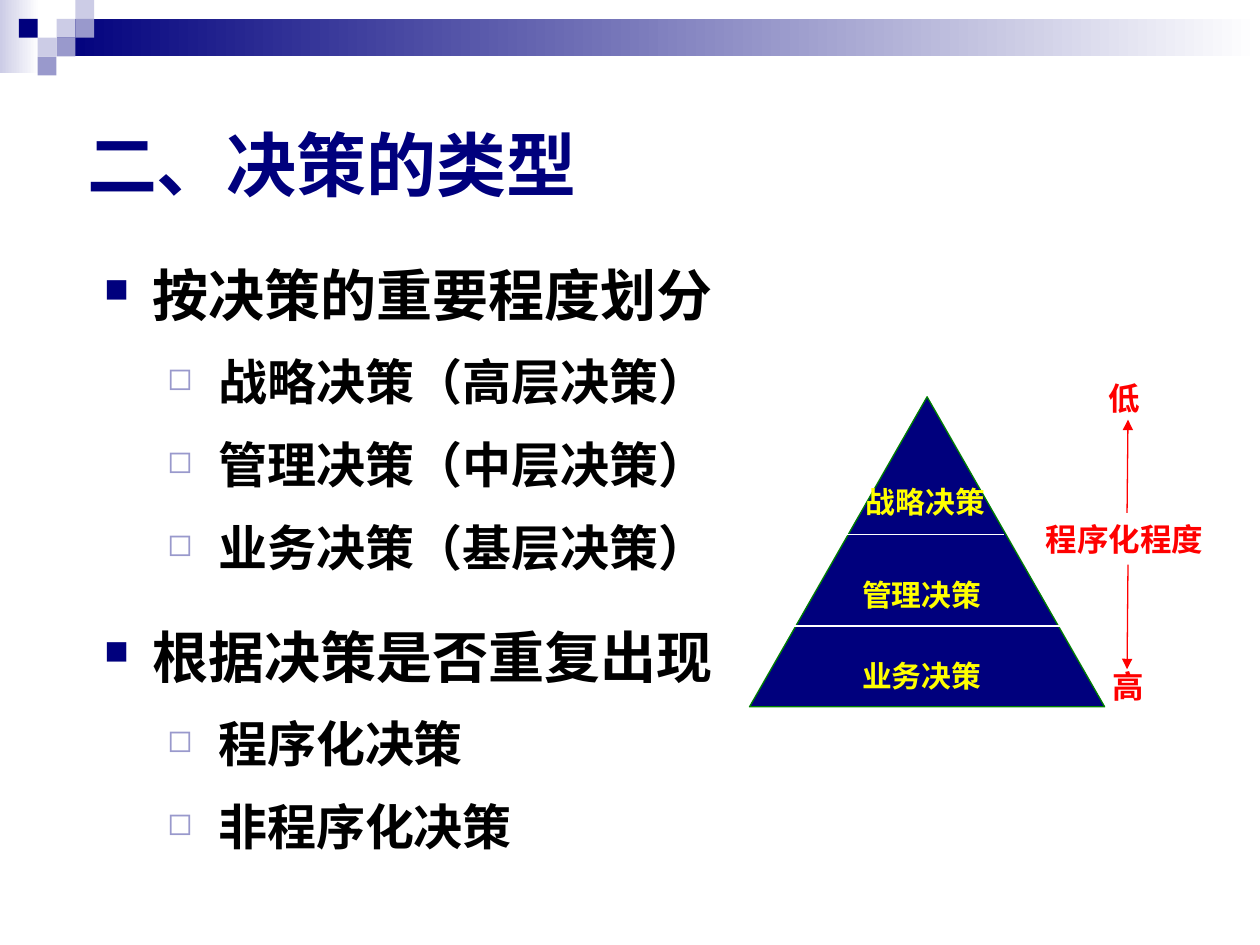
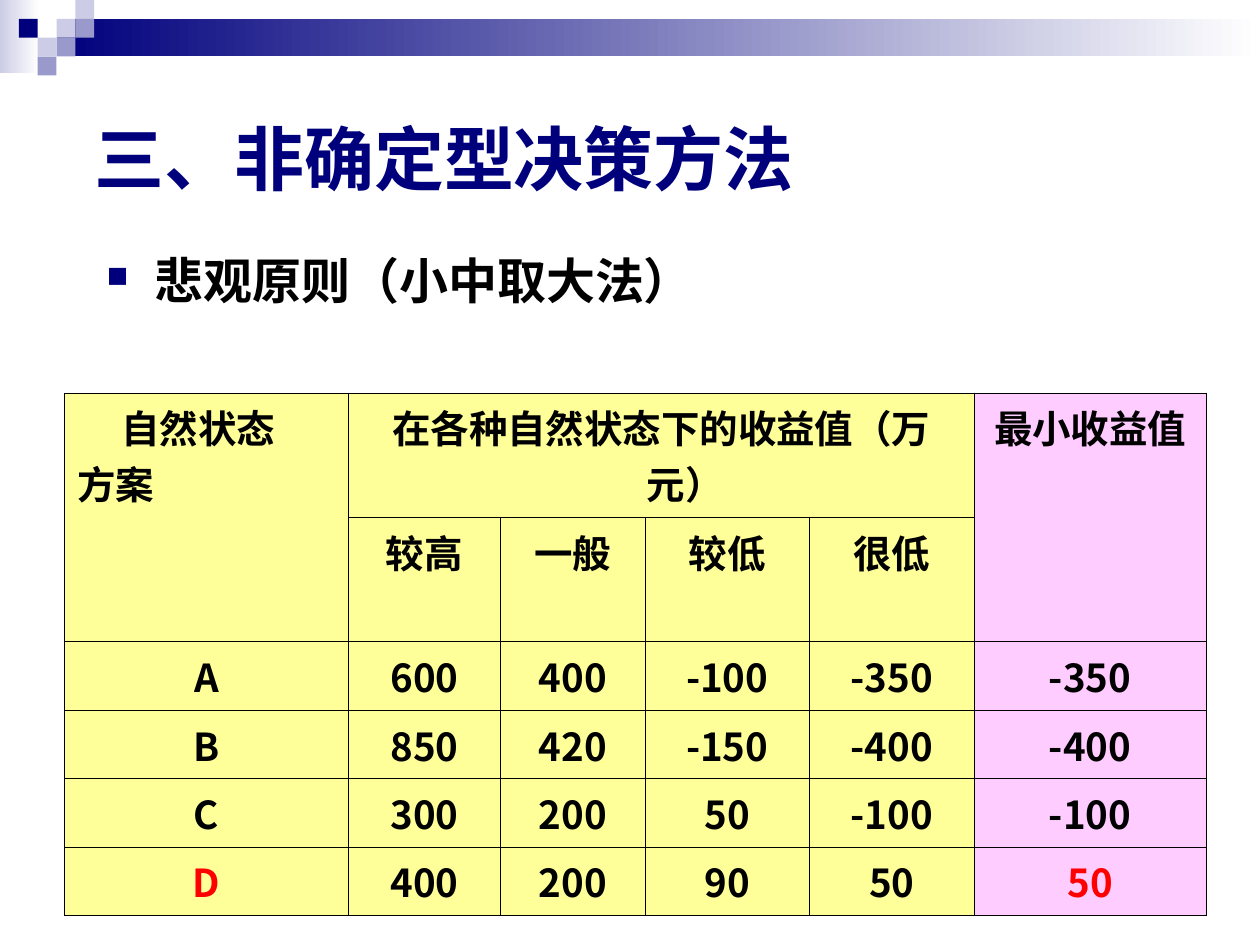
from dataclasses import dataclass
from typing import Any, NamedTuple

import lxml.etree
import pptx
import pptx.dml.color
import pptx.enum.dml
import pptx.enum.shapes
import pptx.enum.text
import pptx.oxml
import pptx.oxml.ns
import pptx.util

Cm = pptx.util.Cm
Pt = pptx.util.Pt
qn = pptx.oxml.ns.qn
ALIGN = pptx.enum.text.PP_ALIGN
ANCHOR = pptx.enum.text.MSO_ANCHOR
SHAPE = pptx.enum.shapes.MSO_SHAPE

COLOURS = {
    "navy": "00007D", "mid": "9999CC", "light": "CCCCE6", "white": "FFFFFF",
    "black": "000000", "red": "FF0000", "yellow": "FFFF00", "green": "008000",
    "cream": "FFFF99", "pink": "FFCCFF",
}
SANS = "Arial"
CJK = "Noto Sans CJK SC"


class Place(NamedTuple):
    """Left, top, width and height in centimetres."""
    left: float
    top: float
    width: float
    height: float

    def lengths(self) -> list[int]:
        return [Cm(value) for value in self]


class Square(NamedTuple):
    column: int
    row: int
    colour: str


class TextStyle(NamedTuple):
    size: float
    colour: str
    font: str = SANS


class Label(NamedTuple):
    text: str
    centre: float
    top: float
    style: TextStyle


class Rule(NamedTuple):
    start: tuple[float, float]
    end: tuple[float, float]
    colour: str
    arrow: bool = False


@dataclass
class Bullet:
    text: str
    size: int
    level: int = 0
    before: float = 7
    after: float = 0


class BulletLook(NamedTuple):
    glyph: str
    colour: str
    percent: int
    margin: float
    hanging: float
    line_spacing: float


BULLET_LOOKS = [
    BulletLook("■", "navy", 60, 0.97, 0.97, 1.0),
    BulletLook("◻", "mid", 64, 2.3, 1.03, 1.2),
]

SQUARE_SIDE = 0.38
SQUARES = [
    Square(3, 1, "light"), Square(4, 0, "light"), Square(4, 1, "mid"),
    Square(2, 2, "light"), Square(1, 1, "navy"), Square(3, 2, "mid"),
    Square(2, 3, "mid"),
]
GRADIENT_BANDS = [
    (Place(0, 0, 0.79, 1.47), "light"),
    (Place(1.14, 0.38, 24.26, 0.76), "navy"),
]

TITLE_STYLE = TextStyle(40, "navy")
DEGREE = TextStyle(18, "red")
TIER = TextStyle(17, "yellow")

DECISION_TYPES = [
    Bullet("按决策的重要程度划分", 32, before=8),
    Bullet("战略决策（高层决策）", 28, 1),
    Bullet("管理决策（中层决策）", 28, 1),
    Bullet("业务决策（基层决策）", 28, 1, after=10.5),
    Bullet("根据决策是否重复出现", 32, before=16),
    Bullet("程序化决策", 28, 1),
    Bullet("非程序化决策", 28, 1),
]
PYRAMID = Place(15.11, 8, 7.16, 6.25)
LABEL_WIDTH, LABEL_HEIGHT = 3.6, 1.4
LABELS = [
    Label("程序化程度", 22.67, 10.16, DEGREE),
    Label("低", 22.67, 7.32, DEGREE),
    Label("高", 22.74, 13.13, DEGREE),
    Label("战略决策", 18.66, 9.42, TIER),
    Label("管理决策", 18.58, 11.28, TIER),
    Label("业务决策", 18.58, 12.93, TIER),
]
RULES = [
    Rule((17.07, 10.77), (20.24, 10.77), "white"),
    Rule((15.98, 12.62), (21.36, 12.62), "white"),
    Rule((22.72, 10.34), (22.74, 8.46), "red", True),
    Rule((22.74, 11.38), (22.72, 13.49), "red", True),
]

COLUMN_WIDTHS = [5.72, 3.07, 2.92, 3.3, 3.33, 4.67]
ROW_HEIGHTS = [2.51] * 2 + [1.38] * 4
HANGING = 0.97
PAYOFFS = [
    ["自然状态\n方案", "在各种自然状态下的收益值（万元）", "", "", "", "最小收益值"],
    ["", "较高", "一般", "较低", "很低", ""],
    ["A", "600", "400", "-100", "-350", "-350"],
    ["B", "850", "420", "-150", "-400", "-400"],
    ["C", "300", "200", "50", "-100", "-100"],
    ["D", "400", "200", "90", "50", "50"],
]
MERGES = [((0, 0), (1, 0)), ((0, 1), (0, 4)), ((0, 5), (1, 5))]
BEST_CELLS = {(5, 0), (5, 5)}


def rgb(name: str) -> pptx.dml.color.RGBColor:
    return pptx.dml.color.RGBColor.from_string(COLOURS[name])


def apply(target: Any, **formats: Any) -> None:
    for name, value in formats.items():
        setattr(target, name, value)


def add_child(parent: Any, tag: str, **attributes: str) -> Any:
    child = lxml.etree.SubElement(parent, qn(tag))
    for name, value in attributes.items():
        child.set(name, value)
    return child


def write(para: Any, text: str, style: TextStyle) -> None:
    span = para.add_run()
    span.text = text
    apply(span.font, size=Pt(style.size), bold=True, name=style.font)
    span.font.color.rgb = rgb(style.colour)
    add_child(span.font._element, "a:ea", typeface=style.font)


def indent(para: Any, margin: float, first: float) -> Any:
    """Set the left margin and the first-line offset, in centimetres."""
    props = para._p.get_or_add_pPr()
    props.set("marL", str(Cm(margin)))
    props.set("indent", str(Cm(first)))
    return props


def add_block(page: Any, kind: Any, place: Place) -> Any:
    block = page.shapes.add_shape(kind, *place.lengths())
    block.shadow.inherit = False
    block.line.fill.background()
    return block


def decorate_layout(layout: Any, page: Any) -> None:
    """Draw the bands and squares on a page, then hand them to its layout."""
    blocks = []
    for place, colour in GRADIENT_BANDS:
        band = add_block(page, SHAPE.RECTANGLE, place)
        band.fill.gradient()
        band.fill.gradient_angle = 0
        for stop, position, shade in zip(band.fill.gradient_stops, (0, 1), (colour, "white")):
            stop.position = position
            stop.color.rgb = rgb(shade)
        blocks.append(band)
    for column, row, colour in SQUARES:
        place = Place(column * SQUARE_SIDE, row * SQUARE_SIDE, SQUARE_SIDE, SQUARE_SIDE)
        square = add_block(page, SHAPE.RECTANGLE, place)
        square.fill.solid()
        square.fill.fore_color.rgb = rgb(colour)
        blocks.append(square)
    for number, block in enumerate(blocks, start=101):
        block.element.xpath("./p:nvSpPr/p:cNvPr")[0].set("id", str(number))
        layout.shapes.element.append(block.element)


def set_title(page: Any, text: str, place: Place) -> None:
    title = page.shapes.title
    apply(title, **dict(zip(("left", "top", "width", "height"), place.lengths())))
    apply(title.text_frame, vertical_anchor=ANCHOR.MIDDLE, word_wrap=True,
          auto_size=pptx.enum.text.MSO_AUTO_SIZE.NONE)
    para = title.text_frame.paragraphs[0]
    para.alignment = ALIGN.LEFT
    write(para, text, TITLE_STYLE)


def add_bullets(page: Any, place: Place, bullets: list[Bullet]) -> None:
    frame = page.shapes.add_textbox(*place.lengths()).text_frame
    frame.word_wrap = True
    for index, bullet in enumerate(bullets):
        para = frame.add_paragraph() if index else frame.paragraphs[0]
        look = BULLET_LOOKS[bullet.level]
        apply(para, level=bullet.level, line_spacing=look.line_spacing,
              space_before=Pt(bullet.before), space_after=Pt(bullet.after))
        props = indent(para, look.margin, -look.hanging)
        add_child(add_child(props, "a:buClr"), "a:srgbClr", val=COLOURS[look.colour])
        add_child(props, "a:buSzPct", val=str(look.percent * 1000))
        add_child(props, "a:buChar", char=look.glyph)
        write(para, bullet.text, TextStyle(bullet.size, "black"))


def add_label(page: Any, label: Label) -> None:
    place = Place(label.centre - LABEL_WIDTH / 2, label.top, LABEL_WIDTH, LABEL_HEIGHT)
    frame = page.shapes.add_textbox(*place.lengths()).text_frame
    apply(frame, margin_left=0, margin_right=0, margin_top=0, margin_bottom=0,
          vertical_anchor=ANCHOR.MIDDLE, word_wrap=True)
    frame.paragraphs[0].alignment = ALIGN.CENTER
    write(frame.paragraphs[0], label.text, label.style)


def add_rule(page: Any, rule: Rule) -> None:
    ends = [Cm(value) for value in rule.start + rule.end]
    line = page.shapes.add_connector(pptx.enum.shapes.MSO_CONNECTOR.STRAIGHT, *ends)
    line.line.width = Pt(0.75)
    line.line.color.rgb = rgb(rule.colour)
    if rule.arrow:
        add_child(line.line._get_or_add_ln(), "a:tailEnd", type="triangle")
    add_child(line.element.spPr, "a:effectLst")


def add_pyramid(page: Any) -> None:
    pyramid = add_block(page, SHAPE.ISOSCELES_TRIANGLE, PYRAMID)
    pyramid.fill.solid()
    pyramid.fill.fore_color.rgb = rgb("navy")
    pyramid.line.color.rgb = rgb("green")
    pyramid.line.width = Pt(0.75)
    for rule in RULES:
        add_rule(page, rule)
    for label in LABELS:
        add_label(page, label)


def set_borders(cell: Any) -> None:
    props = cell._tc.get_or_add_tcPr()
    for index, side in enumerate(("a:lnL", "a:lnR", "a:lnT", "a:lnB")):
        border = add_child(props, side, w=str(Pt(0.45)))
        add_child(add_child(border, "a:solidFill"), "a:srgbClr", val=COLOURS["black"])
        props.insert(index, border)


def fill_cell(cell: Any, row: int, column: int) -> None:
    is_minimum = column == len(COLUMN_WIDTHS) - 1
    cell.fill.solid()
    cell.fill.fore_color.rgb = rgb("pink" if is_minimum else "cream")
    set_borders(cell)
    if not PAYOFFS[row][column]:
        return
    lines = PAYOFFS[row][column].split("\n")
    style = TextStyle(22, "red" if (row, column) in BEST_CELLS else "black", CJK)
    for index, text in enumerate(lines):
        para = cell.text_frame.add_paragraph() if index else cell.text_frame.paragraphs[0]
        para.alignment = ALIGN.LEFT if len(lines) > 1 else ALIGN.CENTER
        if is_minimum:
            apply(para, space_before=Pt(5.5), space_after=Pt(8.2))
        elif len(lines) > 1 and index == 0:
            indent(para, 0.89, 0)
        else:
            indent(para, HANGING, -HANGING)
        write(para, text, style)


def add_payoff_table(page: Any) -> None:
    place = Place(1.3, 7.92, sum(COLUMN_WIDTHS), sum(ROW_HEIGHTS))
    table = page.shapes.add_table(len(ROW_HEIGHTS), len(COLUMN_WIDTHS), *place.lengths()).table
    apply(table, first_row=False, horz_banding=False)
    for column, width in zip(table.columns, COLUMN_WIDTHS):
        column.width = Cm(width)
    for row, height in zip(table.rows, ROW_HEIGHTS):
        row.height = Cm(height)
    for first, last in MERGES:
        table.cell(*first).merge(table.cell(*last))
    for row in range(len(ROW_HEIGHTS)):
        for column in range(len(COLUMN_WIDTHS)):
            fill_cell(table.cell(row, column), row, column)


def main() -> None:
    deck = pptx.Presentation()
    apply(deck, slide_width=Cm(25.4), slide_height=Cm(19.05))
    layout = deck.slide_layouts[5]

    types_page = deck.slides.add_slide(layout)
    decorate_layout(layout, types_page)
    set_title(types_page, "二、决策的类型", Place(1.5, 1.4, 22.86, 3.81))
    add_bullets(types_page, Place(1.85, 5.13, 22.86, 13), DECISION_TYPES)
    add_pyramid(types_page)

    payoff_page = deck.slides.add_slide(layout)
    set_title(payoff_page, "三、非确定型决策方法", Place(1.65, 1.27, 22.86, 3.81))
    add_bullets(payoff_page, Place(1.9, 4.93, 22.25, 1.8),
                [Bullet("悲观原则（小中取大法）", 28, after=10.5)])
    add_payoff_table(payoff_page)
    deck.save("out.pptx")


if __name__ == "__main__":
    main()
